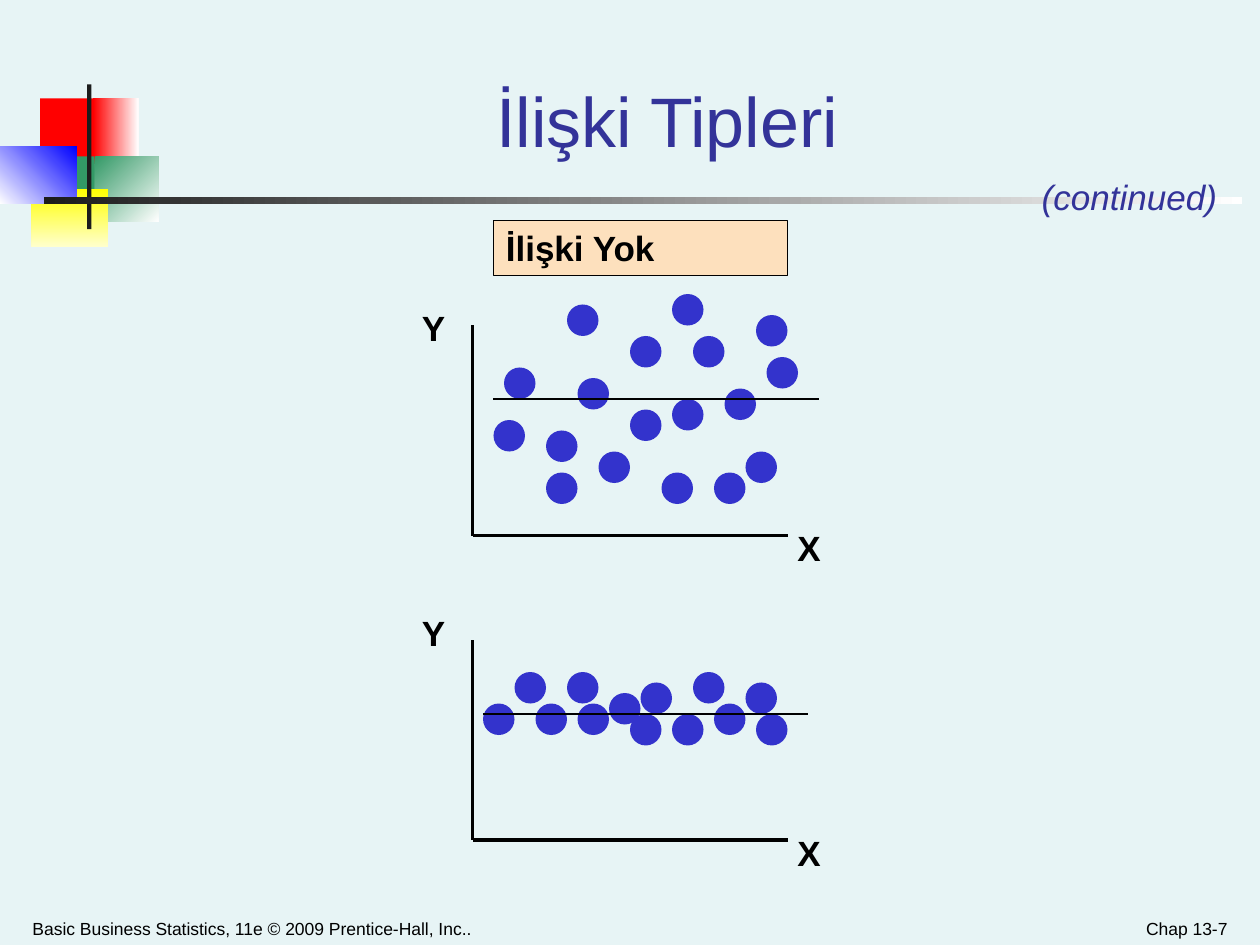
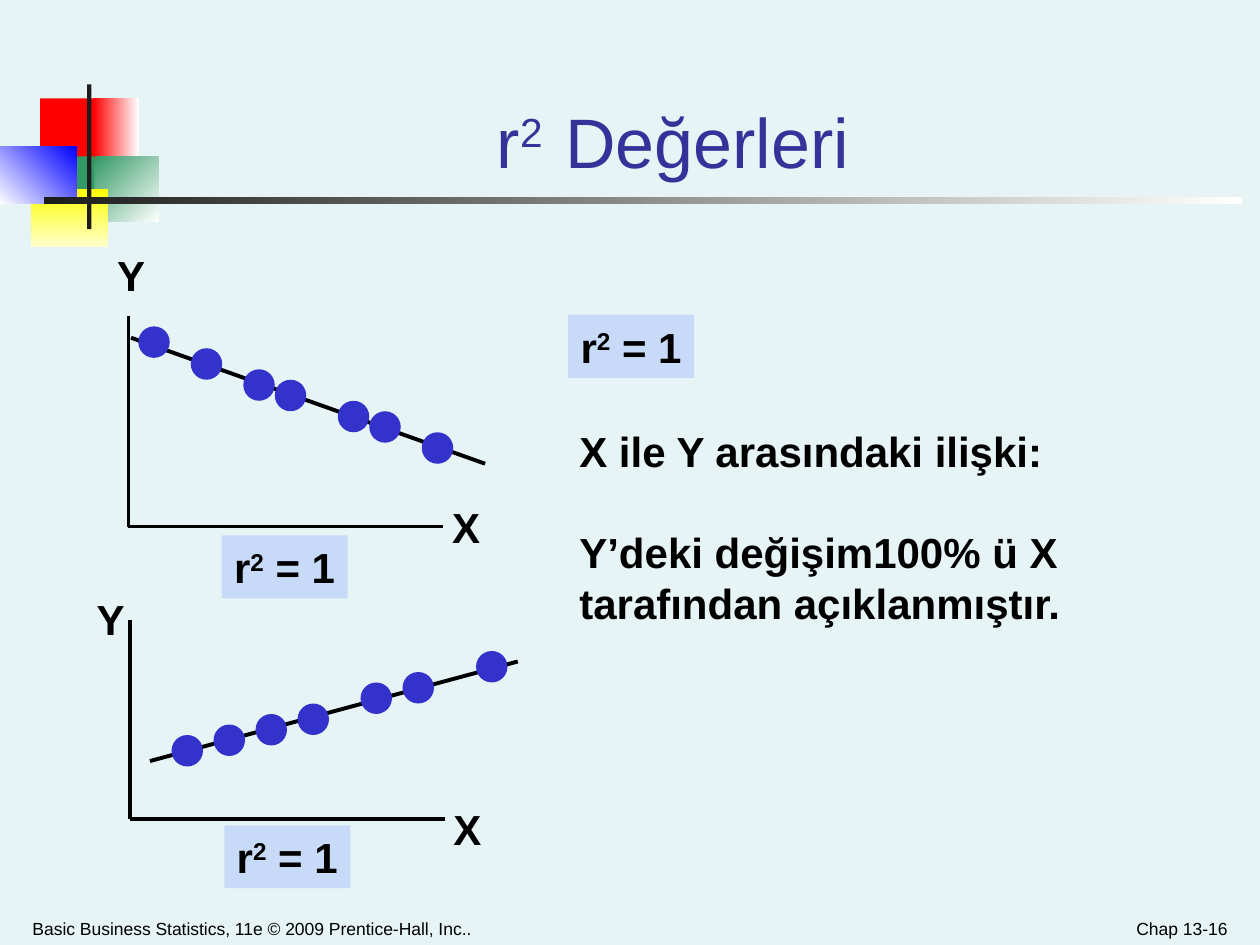
from lxml import etree
from pptx import Presentation
from pptx import util as u
from pptx.dml.color import RGBColor
from pptx.enum import shapes, text
from pptx.oxml.ns import qn

Pt = u.Pt
COLORS = {
    "background": "E7F4F5", "title": "333399", "ink": "000000", "dot": "3333CC",
    "heading": "FDE0BD", "formula": "C7DAF7", "red": "FF0000", "green": "339966",
    "yellow": "FFFF00", "cream": "FFFFCC", "blue": "0000FF", "white": "FFFFFF",
    "bar": "1C1C1C",
}
FONT = "Arial"
DOT = 18
AXIS_LENGTH = 180
FOOTER = "Basic Business Statistics, 11e © 2009 Prentice-Hall, Inc.."
R_SQUARED = "r^2^ = 1"
ORNAMENT = [
    ((23, 56.2, 34.6, 37.4), ["red"], 0),
    ((53.3, 56.2, 25.9, 37.4), ["red", "white"], 0),
    ((54, 89.3, 36.7, 37.4), ["green", "white"], 45),
    ((31, 89.3, 23, 37.4), ["green"], 0),
    ((18, 108, 44, 33.1), ["yellow", "cream"], 90),
    ((0, 83.5, 44, 33.1), ["white", "blue"], 315),
    ((49.8, 48.2, 2.4, 82.8), ["bar"], 0),
    ((25.2, 112.5, 684.7, 4), ["bar", "white"], 0),
]
SCATTERED = [
    (384, 168), (282, 240), (426, 258), (438, 204), (312, 270), (324, 174),
    (384, 228), (396, 192), (432, 180), (360, 192), (312, 246), (330, 216),
    (408, 270), (360, 234), (342, 258), (288, 210), (378, 270), (414, 222),
]
FLAT = [
    (432, 408), (306, 402), (426, 390), (324, 384), (396, 384), (408, 402),
    (348, 396), (276, 402), (294, 384), (330, 402), (384, 408), (366, 390),
    (360, 408),
]
FALLING = [
    (79, 186.5), (109, 199), (139, 211), (157, 217), (193, 229), (211, 235),
    (241, 247),
]
RISING = [
    (98, 420), (122, 414), (146, 408), (170, 402), (206, 390), (230, 384),
    (272, 372),
]


def rgb(name):
    return RGBColor.from_string(COLORS[name])


class Deck:
    def __init__(self):
        self.prs = Presentation()
        self.prs.slide_width, self.prs.slide_height = Pt(720), Pt(540)
        self.s = None

    def slide(self, number):
        self.s = self.prs.slides.add_slide(self.prs.slide_layouts[6])
        fill = self.s.background.fill
        fill.solid()
        fill.fore_color.rgb = rgb("background")
        for box, colors, angle in ORNAMENT:
            self.shape(box, colors, angle=angle)
        bottom = text.MSO_ANCHOR.BOTTOM
        self.text((11.5, 514.8, 366, 25.2), FOOTER, 10, anchor=bottom)
        self.text((540, 514.8, 168.5, 25.2), f"Chap 13-{number}", 10,
                  align=text.PP_ALIGN.RIGHT, anchor=bottom)

    def shape(self, box, colors, kind=shapes.MSO_SHAPE.RECTANGLE, angle=0, line=None):
        sp = self.s.shapes.add_shape(kind, *map(Pt, box))
        sp.shadow.inherit = False
        if len(colors) == 1:
            sp.fill.solid()
            sp.fill.fore_color.rgb = rgb(colors[0])
        else:
            sp.fill.gradient()
            sp.fill.gradient_angle = (360 - angle) % 360
            for stop, color in zip(sp.fill.gradient_stops, colors):
                stop.color.rgb = rgb(color)
        if line:
            sp.line.color.rgb = rgb("ink")
            sp.line.width = Pt(line)
        else:
            sp.line.fill.background()
        return sp

    def text(self, box, content, size, color="ink", bold=False, italic=False, wrap=True,
             align=text.PP_ALIGN.LEFT, anchor=text.MSO_ANCHOR.TOP, sp=None, gap=0):
        sp = sp or self.s.shapes.add_textbox(*map(Pt, box))
        tf = sp.text_frame
        tf.word_wrap = wrap
        tf.vertical_anchor = anchor
        for i, line in enumerate(content.split("\n")):
            p = tf.add_paragraph() if i else tf.paragraphs[0]
            p.alignment = align
            if i:
                p.space_before = Pt(gap)
            for j, part in enumerate(line.split("^")):
                r = p.add_run()
                r.text = part
                r.font.name, r.font.size = FONT, Pt(size)
                r.font.bold, r.font.italic = bold, italic
                r.font.color.rgb = rgb(color)
                if j % 2:
                    r.font._element.set("baseline", "30000")

    def title(self, box, content):
        self.text(box, content, 40, "title", align=text.PP_ALIGN.CENTER,
                  anchor=text.MSO_ANCHOR.BOTTOM)

    def panel(self, box, content, size, color, wrap=False, line=None):
        sp = self.shape(box, [color], line=line)
        self.text(box, content, size, bold=True, wrap=wrap, sp=sp)

    def formula(self, x, y):
        self.panel((x, y, 72, 36), R_SQUARED, 24, "formula")

    def line(self, start, end, width):
        c = self.s.shapes.add_connector(shapes.MSO_CONNECTOR.STRAIGHT,
                                        *map(Pt, start + end))
        c.line.color.rgb = rgb("ink")
        c.line.width = Pt(width)
        etree.SubElement(c._element.spPr, qn("a:effectLst"))

    def axes(self, origin, top, y_label, x_label, size):
        x, y = origin
        self.line((x, top), origin, 2)
        self.line(origin, (x + AXIS_LENGTH, y), 2)
        for name, place in (("Y", y_label), ("X", x_label)):
            box = (*place, 0.67 * size + 14.2, 1.2 * size + 7.2)
            self.text(box, name, size, bold=True, wrap=False)

    def dots(self, places):
        for x, y in places:
            self.shape((x, y, DOT, DOT), ["dot"], shapes.MSO_SHAPE.OVAL)


def relationship_types(d):
    d.slide(7)
    d.title((90.7, 18, 581, 77.8), "İlişki Tipleri")
    d.text((588.2, 96.5, 114.5, 31.7), "(continued)", 20, "title", italic=True, wrap=False)
    d.panel((282, 126, 168, 31.5), "İlişki Yok", 20, "heading", wrap=True, line=1)
    for bottom, top, y_label, places, trend in (
        (306, 186, 171.4, SCATTERED, ((282, 228), (468, 228))),
        (480, 366, 345.6, FLAT, ((276, 408), (462, 408))),
    ):
        d.axes((270, bottom), top, (234, y_label), (448.6, bottom - 8.5), 20)
        d.dots(places)
        d.line(*trend, 1.5)


def r_squared_values(d):
    d.slide(16)
    d.title((77.8, 23.8, 613.4, 84.2), "r^2  ^Değerleri")
    for origin, top, y_label, x_label, places, trend in (
        ((73.4, 301), 180.7, (59.8, 139), (251.3, 283), FALLING,
         ((277.2, 265), (74.9, 193))),
        ((74.2, 468), 354.2, (48.2, 335.5), (252, 455.8), RISING,
         ((85.7, 434.9), (295.9, 378))),
    ):
        d.axes(origin, top, y_label, x_label, 24)
        d.line(*trend, 2.25)
        d.dots(places)
    for x, y in ((126.7, 306), (128.2, 471.6), (324.7, 180)):
        d.formula(x, y)
    d.text((324, 239.8, 347.8, 122.4),
           "X ile Y arasındaki ilişki:\nY’deki değişim100% ü X tarafından açıklanmıştır.",
           24, bold=True, gap=28.8)


def main():
    d = Deck()
    relationship_types(d)
    r_squared_values(d)
    d.prs.save("out.pptx")


if __name__ == "__main__":
    main()
